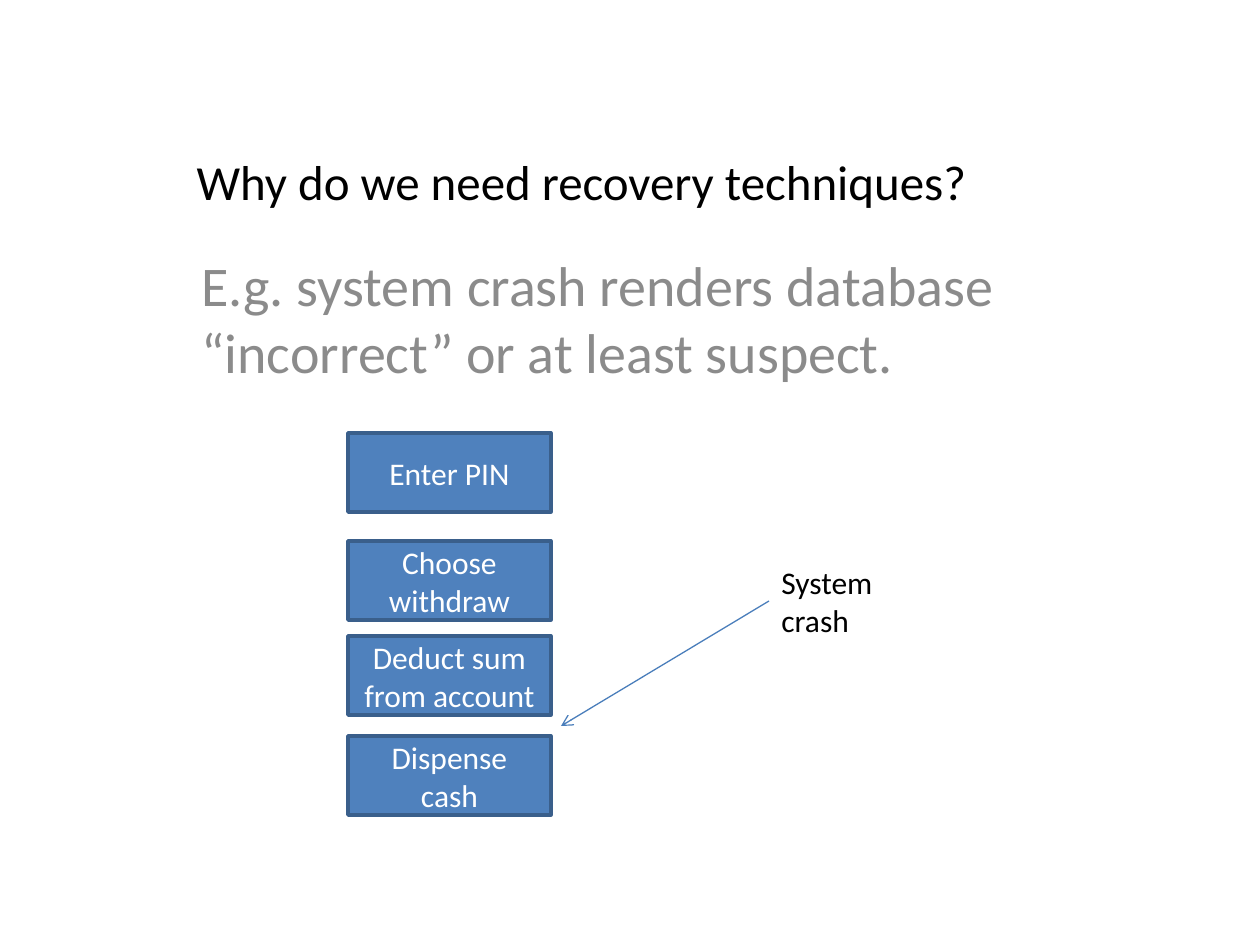
from pptx import Presentation, util as u
from pptx.dml.color import RGBColor
from pptx.enum import shapes, text
from pptx.oxml import ns, xmlchemy

BLACK = RGBColor(0x00, 0x00, 0x00)
WHITE = RGBColor(0xFF, 0xFF, 0xFF)
GREY = RGBColor(0x8B, 0x8B, 0x8B)
BLUE = RGBColor(0x4F, 0x81, 0xBD)
DARK_BLUE = RGBColor(0x3A, 0x5F, 0x8B)
ARROW_BLUE = RGBColor(0x4A, 0x7E, 0xBB)

PX_PER_INCH = 126
STEP_LEFT, STEP_WIDTH, STEP_HEIGHT = 348, 203, 79
STEPS = [
    ("Enter PIN", 433),
    ("Choose withdraw", 541),
    ("Deduct sum from account", 636),
    ("Dispense cash", 736),
]


def px(*lengths):
    """Turn pixel lengths into EMU."""
    return [u.Emu(round(length * u.Inches(1) / PX_PER_INCH)) for length in lengths]


class SlideBuilder:
    """Holds the font and the slide being drawn."""

    font = "Calibri"

    def __init__(self, slide):
        self.slide = slide

    def set_words(self, shape, words, size, color, align=text.PP_ALIGN.LEFT,
                  anchor=text.MSO_ANCHOR.TOP):
        frame = shape.text_frame
        frame.text = words
        frame.word_wrap = True
        frame.auto_size = text.MSO_AUTO_SIZE.NONE
        frame.vertical_anchor = anchor
        paragraph = frame.paragraphs[0]
        paragraph.alignment = align
        font = paragraph.runs[0].font
        font.name, font.size, font.color.rgb = self.font, u.Pt(size), color
        return shape

    def title(self, words, left, top, width, height):
        title = self.slide.shapes.title
        title.left, title.top, title.width, title.height = px(left, top, width, height)
        return self.set_words(title, words, 28, BLACK)

    def textbox(self, words, left, top, width, height, size, color):
        box = self.slide.shapes.add_textbox(*px(left, top, width, height))
        return self.set_words(box, words, size, color)

    def step(self, words, top):
        box = self.slide.shapes.add_shape(
            shapes.MSO_SHAPE.RECTANGLE, *px(STEP_LEFT, top, STEP_WIDTH, STEP_HEIGHT))
        box.shadow.inherit = False
        box.fill.solid()
        box.fill.fore_color.rgb = BLUE
        box.line.color.rgb = DARK_BLUE
        box.line.width = u.Pt(2)
        return self.set_words(box, words, 18, WHITE, text.PP_ALIGN.CENTER,
                              text.MSO_ANCHOR.MIDDLE)

    def arrow_from_left_of(self, source, x, y):
        arrow = self.slide.shapes.add_connector(
            shapes.MSO_CONNECTOR.STRAIGHT, source.left, source.top, *px(x, y))
        arrow.begin_connect(source, 1)
        arrow.line.color.rgb = ARROW_BLUE
        arrow.line.width = u.Pt(0.75)
        properties = arrow._element.find(ns.qn("p:spPr"))
        head = xmlchemy.OxmlElement("a:tailEnd")
        head.set("type", "arrow")
        properties.find(ns.qn("a:ln")).append(head)
        properties.append(xmlchemy.OxmlElement("a:effectLst"))
        return arrow


def main():
    deck = Presentation()
    deck.slide_width, deck.slide_height = px(1260, 945)
    builder = SlideBuilder(deck.slides.add_slide(deck.slide_layouts[5]))

    builder.title("Why do we need recovery techniques?", 184, 145, 893, 72)
    example = builder.textbox(
        "E.g. system crash renders database “incorrect” or at least suspect.",
        189, 244, 882, 586, 32, GREY)
    example.text_frame.paragraphs[0].space_before = u.Pt(6.4)

    crash = builder.textbox("System crash", 769, 557, 139, 88, 18, BLACK)
    builder.arrow_from_left_of(crash, 561, 726)
    for words, top in STEPS:
        builder.step(words, top)

    deck.save("out.pptx")


if __name__ == "__main__":
    main()
